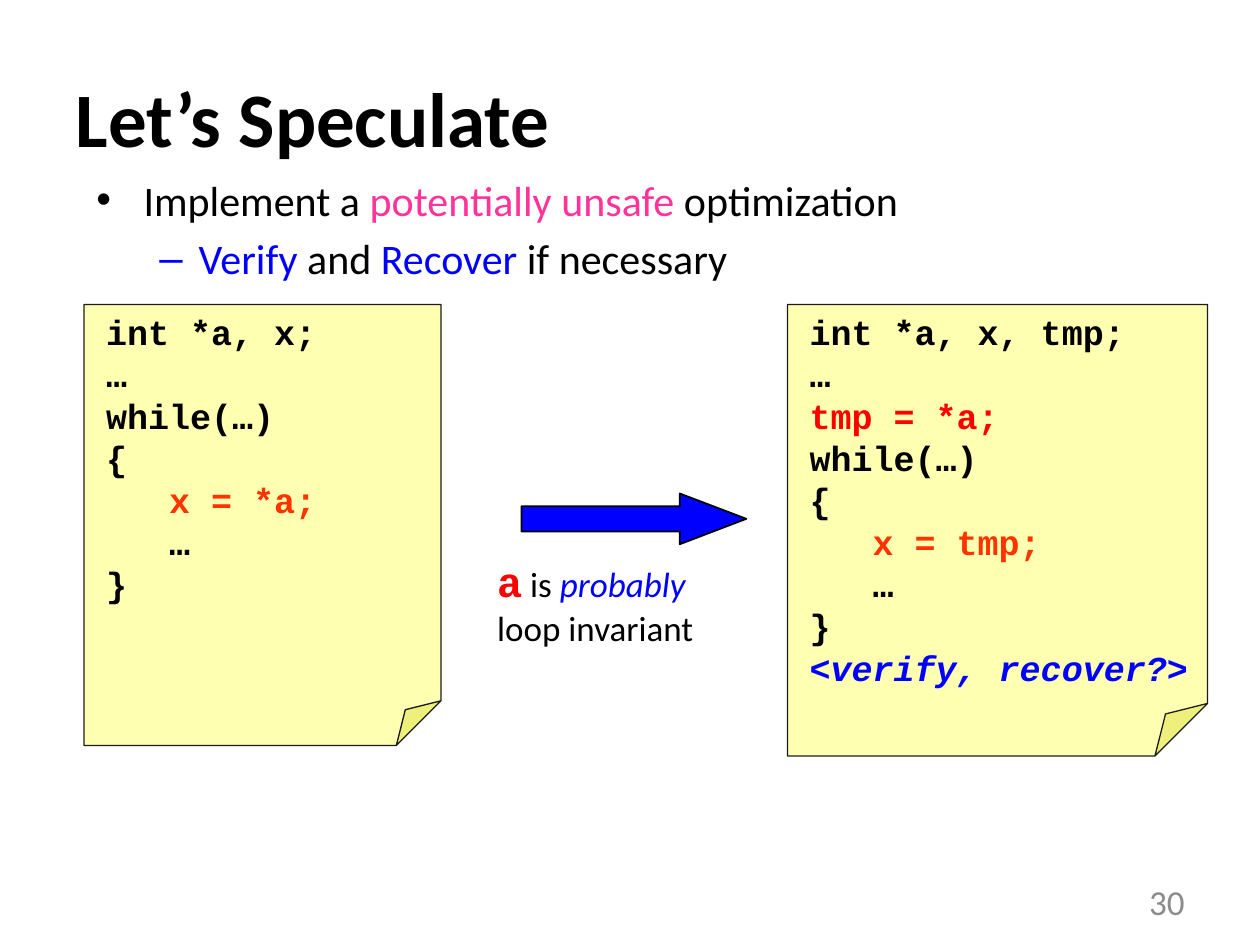
from lxml.etree import SubElement
from pptx import Presentation
from pptx.dml.color import RGBColor as RGB
from pptx.enum.shapes import MSO_SHAPE as Preset
from pptx.enum.text import MSO_ANCHOR as Anchor, PP_ALIGN as Align
from pptx.oxml.ns import qn
from pptx.util import Pt

COLORS = {
    "black": "000000", "blue": "0000FF", "red": "FF0000",
    "orange": "FF3300", "pink": "FF3399", "yellow": "FFFF00",
    "outline": "1C1C1C", "gray": "8C8C8C",
}


class SlideBuilder:
    body_font = "Calibri"
    code_font = "Courier New"

    def __init__(self, presentation):
        self.slide = presentation.slides.add_slide(presentation.slide_layouts[5])

    def color(self, name):
        return RGB.from_string(COLORS[name])

    def run(self, paragraph, text, size=20, color="black", font=None, bold=False, italic=False):
        run = paragraph.add_run()
        run.text = text
        run.font.name = font or self.body_font
        run.font.size = Pt(size)
        run.font.bold = bold
        run.font.italic = italic
        run.font.color.rgb = self.color(color)

    def title(self, text, box):
        shape = self.slide.shapes.title
        shape.left, shape.top, shape.width, shape.height = map(Pt, box)
        shape.text_frame.vertical_anchor = Anchor.MIDDLE
        paragraph = shape.text_frame.paragraphs[0]
        paragraph.alignment = Align.LEFT
        self.run(paragraph, text, size=44, bold=True)

    def text(self, lines, box, wrap=True, anchor=Anchor.TOP, align=Align.LEFT):
        frame = self.slide.shapes.add_textbox(*map(Pt, box)).text_frame
        frame.word_wrap = wrap
        frame.vertical_anchor = anchor
        for index, runs in enumerate(lines):
            paragraph = frame.add_paragraph() if index else frame.paragraphs[0]
            paragraph.alignment = align
            for text, style in runs:
                self.run(paragraph, text, **style)
        return frame

    def bullets(self, items, box):
        frame = self.text([runs for *_, runs in items], box)
        for index, (paragraph, item) in enumerate(zip(frame.paragraphs, items)):
            level, mark, margin, hanging, _ = item
            paragraph.level = level
            if index:
                paragraph.space_before = Pt(4.8)
            properties = paragraph._p.get_or_add_pPr()
            properties.set("marL", str(Pt(margin)))
            properties.set("indent", str(-Pt(hanging)))
            SubElement(properties, qn("a:buFont")).set("typeface", "Arial")
            SubElement(properties, qn("a:buChar")).set("char", mark)

    def shape(self, preset, box, fill, line, line_width, adjustments, opacity=100):
        shape = self.slide.shapes.add_shape(preset, *map(Pt, box))
        shape.shadow.inherit = False
        properties = shape._element.spPr
        guides = properties.find(qn("a:prstGeom")).find(qn("a:avLst"))
        for name, value in adjustments.items():
            guide = SubElement(guides, qn("a:gd"))
            guide.set("name", name)
            guide.set("fmla", f"val {value}")
        shape.fill.solid()
        shape.fill.fore_color.rgb = self.color(fill)
        if opacity < 100:
            color = properties.find(qn("a:solidFill"))[0]
            SubElement(color, qn("a:alpha")).set("val", str(opacity * 1000))
        shape.line.color.rgb = self.color(line)
        shape.line.width = Pt(line_width)

    def code_note(self, lines, box):
        left, top, width, height = box
        self.shape(Preset.FOLDED_CORNER, box, "yellow", "outline", 0.75,
                   {"adj": 12500}, opacity=30)
        code = [[(text, dict(color=color, font=self.code_font, bold=True, italic=italic))]
                for text, color, italic in lines]
        self.text(code, (left + 5.5, top, width - 5.5, height))


def main():
    presentation = Presentation()
    presentation.slide_width, presentation.slide_height = Pt(720), Pt(540)
    builder = SlideBuilder(presentation)

    builder.title("Let’s Speculate", (36, 21.6, 648, 90))

    plain, pink, blue = (dict(size=24, color=name) for name in ("black", "pink", "blue"))
    builder.bullets([
        (0, "•", 27, 27, [("Implement a ", plain), ("potentially unsafe", pink),
                          (" optimization", plain)]),
        (1, "–", 58.5, 22.5, [("Verify", blue), (" and ", plain), ("Recover", blue),
                              (" if necessary", plain)]),
    ], (48, 96, 648, 72))

    builder.code_note([
        ("int *a, x;", "black", False),
        ("…", "black", False),
        ("while(…)", "black", False),
        ("{", "black", False),
        ("   x = *a;", "orange", False),
        ("   …", "black", False),
        ("}", "black", False),
    ], (48, 174, 204, 252))

    builder.shape(Preset.RIGHT_ARROW, (298, 282, 128.5, 29), "blue", "black", 1,
                  {"adj1": 50000, "adj2": 131200})
    builder.text([
        [("a", dict(size=24, color="red", font=builder.code_font, bold=True)),
         (" is ", {}), ("probably", dict(color="blue", italic=True))],
        [("loop invariant", {})],
    ], (277, 314, 128, 60), wrap=False)

    builder.code_note([
        ("int *a, x, tmp;", "black", False),
        ("…", "black", False),
        ("tmp = *a;", "red", False),
        ("while(…)", "black", False),
        ("{", "black", False),
        ("   x = tmp;", "orange", False),
        ("   …", "black", False),
        ("}", "black", False),
        ("<verify, recover?>", "blue", True),
    ], (450, 174, 240, 258))

    builder.text([[("30", dict(color="gray"))]], (516, 500.5, 168, 28.75),
                 anchor=Anchor.MIDDLE, align=Align.RIGHT)

    presentation.save("out.pptx")


if __name__ == "__main__":
    main()
